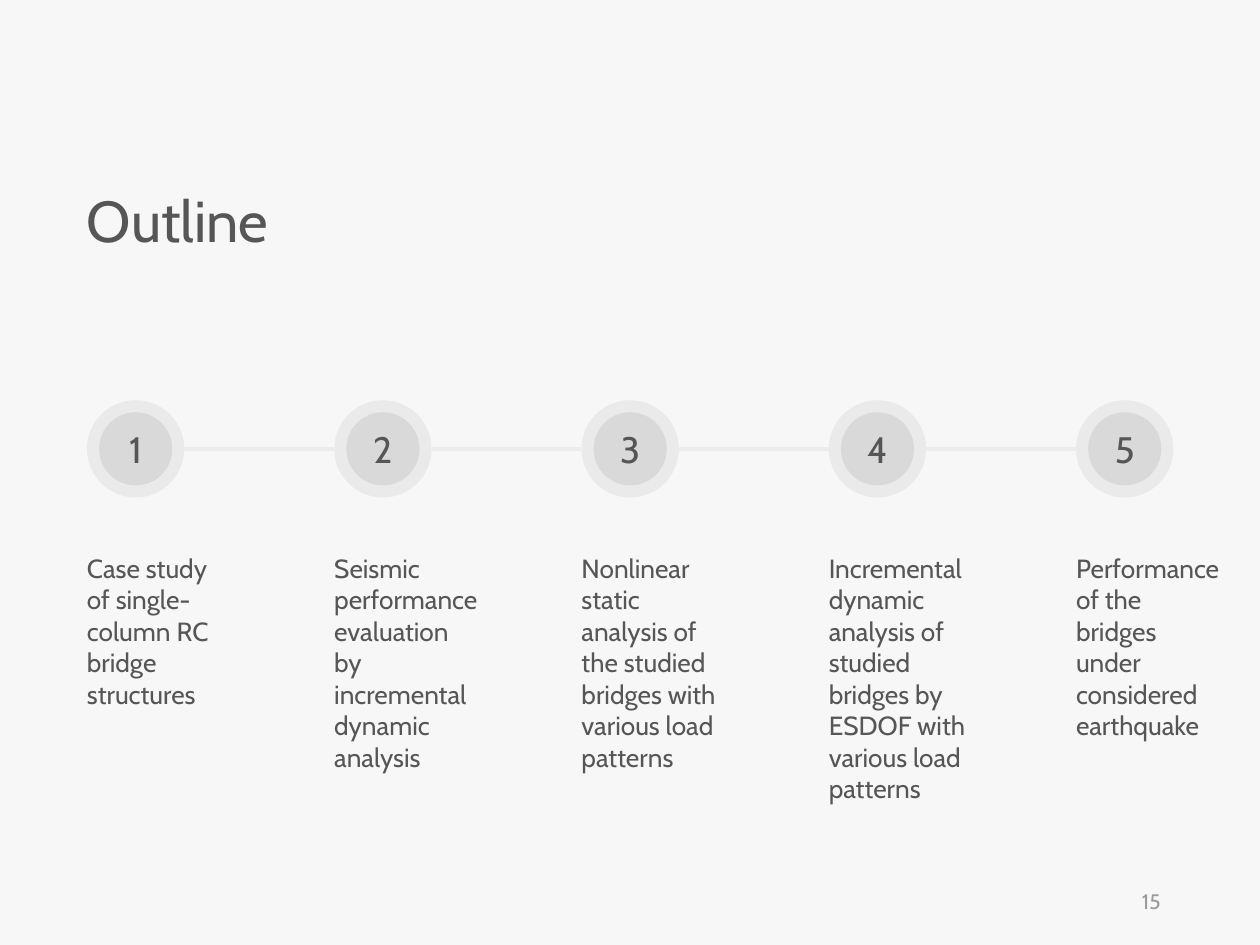
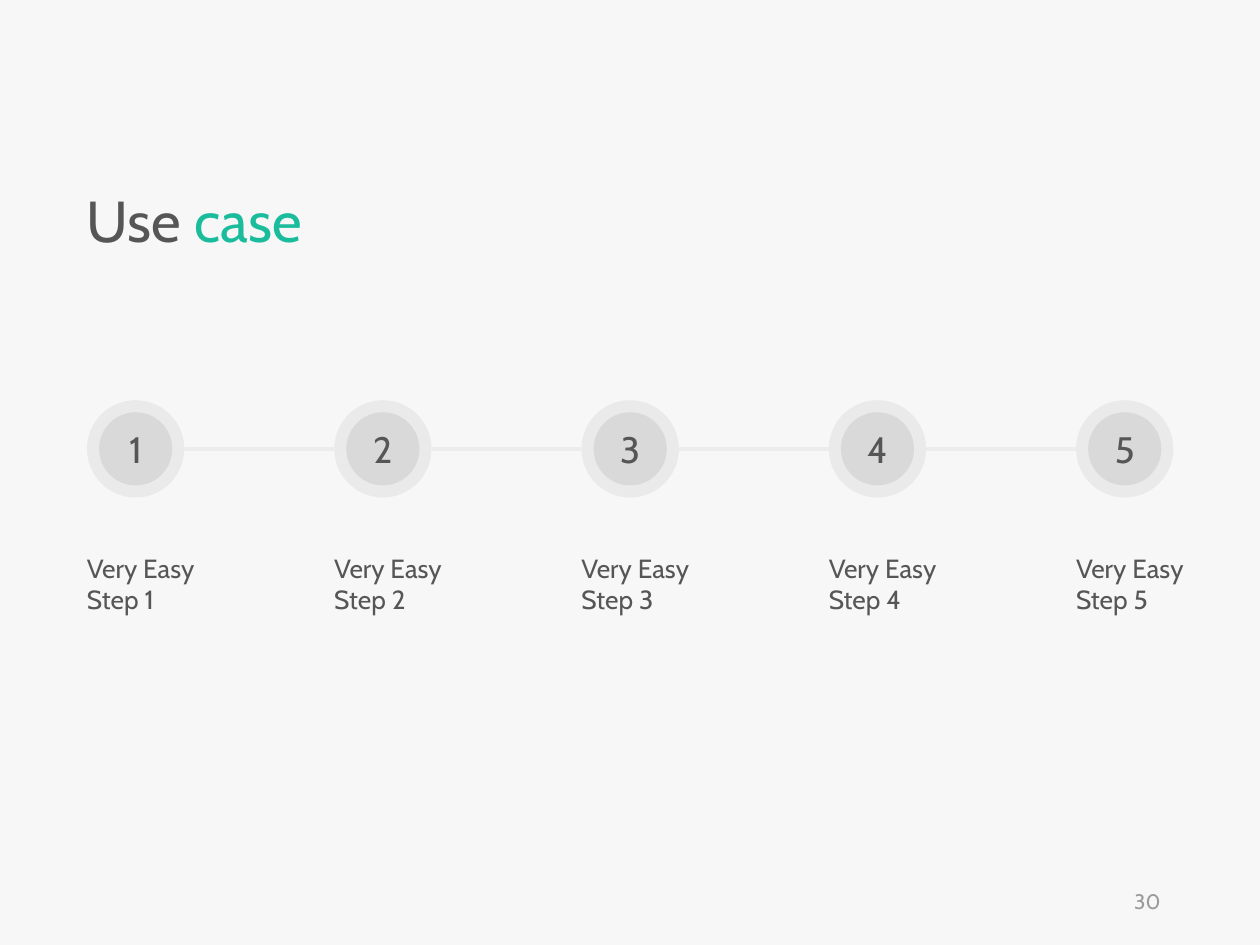
import pptx
import pptx.util
import pptx.dml.color
import pptx.enum.shapes
import pptx.enum.text
import pptx.oxml.ns
from dataclasses import dataclass
from lxml import etree

Pt = pptx.util.Pt
Align = pptx.enum.text.PP_ALIGN
Anchor = pptx.enum.text.MSO_ANCHOR


@dataclass(frozen=True)
class Theme:
    font: str = "Cabin"
    background: str = "F7F7F7"
    ink: str = "565656"
    accent: str = "1ABC9C"
    muted: str = "9A9A9A"
    disc: str = "D9D9D9"
    connector: str = "EDECEC"
    title_size: float = 33
    number_size: float = 21
    caption_size: float = 15
    footer_size: float = 12


theme = Theme()

# Shared geometry, in points
LEFT, STEP_PITCH, CENTRE_Y = 49.7, 141.3, 256.5
RING, DISC = 55.6, 41.8
CAPTION_TOP, CAPTION_WIDTH = 311.8, 91.4
CAPTION_LINE, CAPTION_PADDING = 18.2, 7.2

# Title spans, captions with their line counts, page number
slides = [
    ([("Outline", theme.ink)],
     [("Case study of single-column RC bridge structures", 5),
      ("Seismic performance evaluation by incremental dynamic analysis", 6),
      ("Nonlinear static analysis of the studied bridges with various load patterns", 7),
      ("Incremental dynamic analysis of studied bridges by ESDOF with various load patterns", 8),
      ("Performance of the bridges under considered earthquake", 6)],
     "15"),
    ([("Use ", theme.ink), ("case", theme.accent)],
     [(f"Very Easy Step {number}", 2) for number in range(1, 6)],
     "30"),
]


def write(shape, spans, size, align=Align.LEFT, anchor=Anchor.TOP, flush=False):
    """Fill a shape with one paragraph of (text, colour) spans."""
    frame = shape.text_frame
    frame.word_wrap = True
    frame.vertical_anchor = anchor
    if flush:
        frame.margin_left = 0
        frame.auto_size = pptx.enum.text.MSO_AUTO_SIZE.SHAPE_TO_FIT_TEXT
    para = frame.paragraphs[0]
    para.alignment = align
    for text, colour in spans:
        span = para.add_run()
        span.text = text
        span.font.name = theme.font
        span.font.size = Pt(size)
        span.font.color.rgb = pptx.dml.color.RGBColor.from_string(colour)
    return para


def add_circle(page, centre_x, diameter):
    circle = page.shapes.add_shape(
        pptx.enum.shapes.MSO_SHAPE.OVAL,
        Pt(centre_x - diameter / 2), Pt(CENTRE_Y - diameter / 2),
        Pt(diameter), Pt(diameter))
    circle.shadow.inherit = False
    circle.fill.solid()
    circle.fill.fore_color.rgb = pptx.dml.color.RGBColor.from_string(theme.disc)
    circle.line.fill.background()
    return circle


deck = pptx.Presentation()
deck.slide_width, deck.slide_height = Pt(720), Pt(540)

for title, captions, page_number in slides:
    page = deck.slides.add_slide(deck.slide_layouts[6])
    page.background.fill.solid()
    page.background.fill.fore_color.rgb = pptx.dml.color.RGBColor.from_string(theme.background)

    # Title
    box = page.shapes.add_textbox(Pt(LEFT), Pt(106.6), Pt(265), Pt(43.2))
    write(box, title, theme.title_size, flush=True).line_spacing = 0.9

    for index, (caption, line_count) in enumerate(captions):
        left = LEFT + index * STEP_PITCH
        centre_x = left + RING / 2

        # Numbered disc under a translucent ring
        add_circle(page, centre_x, DISC)
        ring = add_circle(page, centre_x, RING)
        colour_node = ring.fill._xPr.find(".//" + pptx.oxml.ns.qn("a:srgbClr"))
        etree.SubElement(colour_node, pptx.oxml.ns.qn("a:alpha"), val="42000")
        write(ring, [(str(index + 1), theme.ink)], theme.number_size,
              Align.CENTER, Anchor.MIDDLE)

        # Caption
        box = page.shapes.add_textbox(
            Pt(left), Pt(CAPTION_TOP), Pt(CAPTION_WIDTH),
            Pt(line_count * CAPTION_LINE + CAPTION_PADDING))
        write(box, [(caption, theme.ink)], theme.caption_size, flush=True)

        # Line to the next step
        if index < len(captions) - 1:
            line = page.shapes.add_connector(
                pptx.enum.shapes.MSO_CONNECTOR.STRAIGHT,
                Pt(left + RING), Pt(CENTRE_Y), Pt(left + STEP_PITCH), Pt(CENTRE_Y))
            line.line.color.rgb = pptx.dml.color.RGBColor.from_string(theme.connector)
            line.line.width = Pt(2.25)
            etree.SubElement(line._element.spPr, pptx.oxml.ns.qn("a:effectLst"))

    # Page number
    box = page.shapes.add_textbox(Pt(508.3), Pt(500.4), Pt(162), Pt(28.8))
    write(box, [(page_number, theme.muted)], theme.footer_size, Align.RIGHT, Anchor.MIDDLE)

deck.save("out.pptx")
